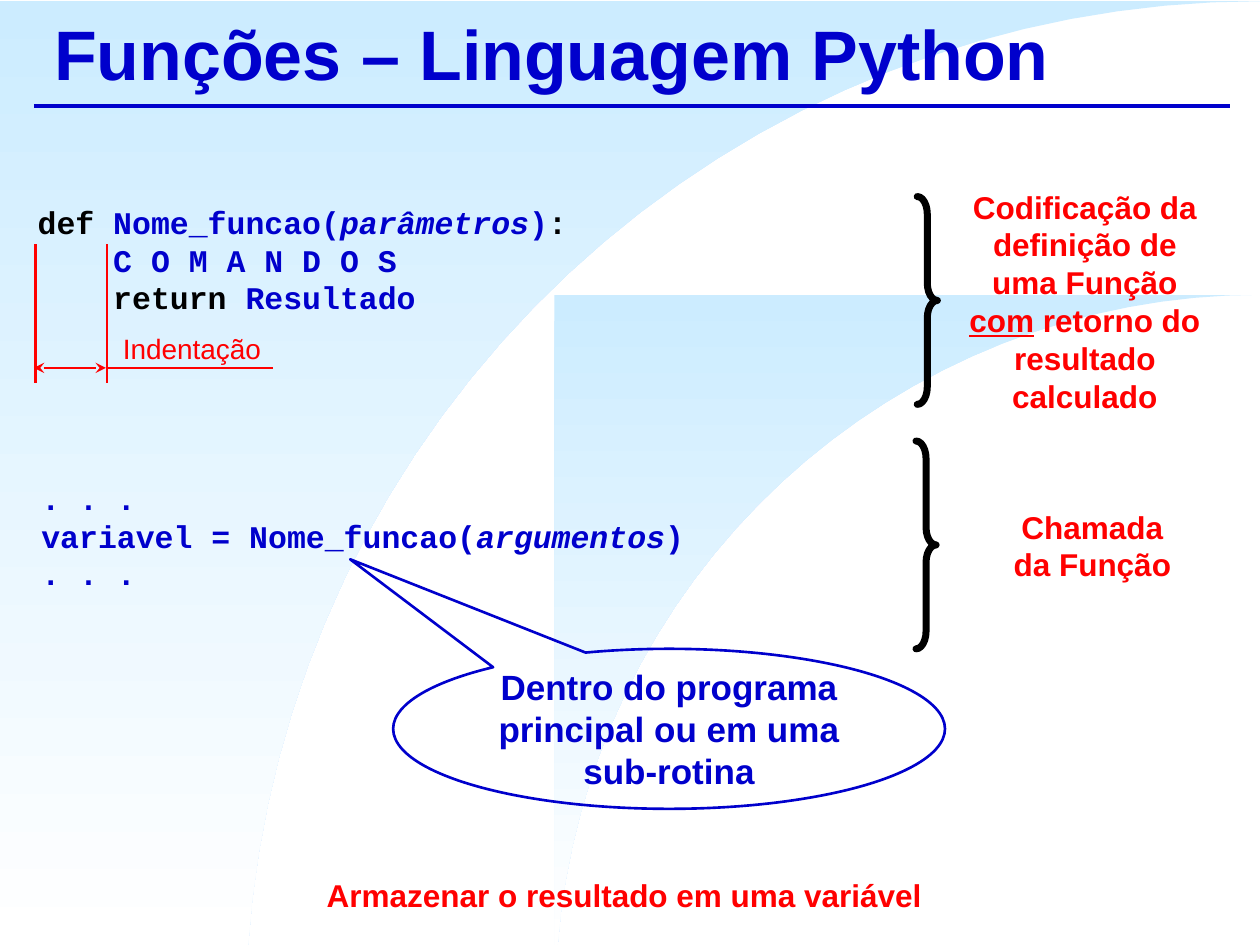
"""Build the slide on Python functions that return a result."""
import math

import pptx
import pptx.dml.color
import pptx.enum.shapes
import pptx.enum.text
import pptx.oxml
import pptx.oxml.ns
import pptx.util

Inches, Pt = pptx.util.Inches, pptx.util.Pt
RGBColor = pptx.dml.color.RGBColor
MSO_SHAPE = pptx.enum.shapes.MSO_SHAPE
ALIGN = pptx.enum.text.PP_ALIGN
MIDDLE = pptx.enum.text.MSO_ANCHOR.MIDDLE

BLUE = RGBColor(0x00, 0x00, 0xCC)
RED = RGBColor(0xFF, 0x00, 0x00)
BLACK = RGBColor(0x00, 0x00, 0x00)
SKY = RGBColor(0xCC, 0xEC, 0xFF)
WHITE = RGBColor(0xFF, 0xFF, 0xFF)
SANS, MONO = "Arial", "Courier New"
WIDTH, HEIGHT = 10, 7.5
CODE_INDENT = 0.6

TITLE = "Funções – Linguagem Python"
CALLOUT = "Dentro do programa principal ou em uma sub-rotina"

CODE = [
    ((0.2, 1.56, 9.61, 1.62), [
        (0, [("def ", BLACK, ""), ("Nome_funcao(", BLUE, ""),
             ("parâmetros", BLUE, "i"), (")", BLUE, ""), (":", BLACK, "")]),
        (1, [("C O M A N D O S", BLUE, "")]),
        (1, [("return", BLACK, ""), (" Resultado", BLUE, "")]),
    ]),
    ((0.23, 3.75, 9.53, 1.01), [
        (0, [(". . .", BLUE, "")]),
        (0, [("variavel = Nome_funcao(", BLUE, ""),
             ("argumentos", BLUE, "i"), (")", BLUE, "")]),
        (0, [(". . .", BLUE, "")]),
    ]),
]

LABELS = [
    ((7.5, 1.44, 2.22, 1.92), 18, True, ALIGN.CENTER,
     [("Codificação da definição de uma Função ", RED, ""), ("com", RED, "u"),
      (" retorno do resultado calculado", RED, "")]),
    ((7.89, 3.98, 1.56, 0.71), 18, True, ALIGN.CENTER,
     [("Chamada da Função", RED, "")]),
    ((0.19, 6.9, 9.53, 0.4), 18, True, ALIGN.CENTER,
     [("Armazenar o resultado em uma variável", RED, "")]),
    ((0.84, 2.58, 1.33, 0.37), 16, False, ALIGN.RIGHT,
     [("Indentação", RED, "")]),
]

BACKDROPS = [(0, 0.01, 8.05), (4.4, 2.34, 5.59)]
BRACES = [(7.28, 1.56), (7.27, 3.5)]
LINES = [
    ((0.27, 0.84, 9.76, 0.84), BLUE, 2.25, False),
    ((0.28, 1.94, 0.28, 3.04), RED, 1.5, False),
    ((0.85, 1.94, 0.85, 3.04), RED, 1.5, False),
    ((0.27, 2.92, 0.84, 2.92), RED, 1.5, True),
    ((0.85, 2.92, 2.17, 2.92), RED, 1.5, False),
]

prs = pptx.Presentation()
prs.slide_width, prs.slide_height = Inches(WIDTH), Inches(HEIGHT)
s = prs.slides.add_slide(prs.slide_layouts[5])
shapes = s.shapes


def box(values):
    return [Inches(v) for v in values]


def style(r, size, color, font=SANS, bold=True, mark=""):
    f = r.font
    f.name, f.size, f.bold = font, Pt(size), bold
    f.color.rgb = color
    if mark == "i":
        f.italic = True
    if mark == "u":
        f.underline = True


def write(p, runs, size, font, bold, align):
    p.alignment = align
    p.line_spacing = Pt(size * 1.2)
    for text, color, mark in runs:
        r = p.add_run()
        r.text = text
        style(r, size, color, font, bold, mark)


def text_frame(at):
    tf = shapes.add_textbox(*box(at)).text_frame
    tf.word_wrap = True
    return tf


def outline(sp, color, width):
    sp.shadow.inherit = False
    sp.fill.background()
    sp.line.color.rgb = color
    sp.line.width = Pt(width)


def backdrop(left, top, radius, steps=32):
    center = top + radius
    start = math.asin((center - HEIGHT) / radius)
    angles = [start + (math.pi / 2 - start) * i / steps for i in range(steps + 1)]
    arc = [(WIDTH - radius * math.cos(a), center - radius * math.sin(a)) for a in angles]
    points = [box(pt) for pt in arc + [(WIDTH, top), (left, top), (left, HEIGHT)]]
    builder = shapes.build_freeform(*points[0])
    builder.add_line_segments(points[1:], close=True)
    sp = builder.convert_to_shape()
    sp.shadow.inherit = False
    sp.line.fill.background()
    sp.fill.gradient()
    sp.fill.gradient_angle = 270
    for stop, color, position in zip(sp.fill.gradient_stops, (SKY, WHITE), (0, 1)):
        stop.color.rgb = color
        stop.position = position


def line(ends, color, width, arrows):
    c = shapes.add_connector(pptx.enum.shapes.MSO_CONNECTOR.STRAIGHT, *box(ends))
    c.line.color.rgb = color
    c.line.width = Pt(width)
    ns = pptx.oxml.ns.nsdecls("a")
    if arrows:
        for tag in ("headEnd", "tailEnd"):
            c.line._get_or_add_ln().append(
                pptx.oxml.parse_xml(f'<a:{tag} {ns} type="stealth"/>'))
    c._element.spPr.append(pptx.oxml.parse_xml(f"<a:effectLst {ns}/>"))


for shape in BACKDROPS:
    backdrop(*shape)

for at, rows in CODE:
    tf = text_frame(at)
    for i, (level, runs) in enumerate(rows):
        p = tf.paragraphs[0] if i == 0 else tf.add_paragraph()
        write(p, runs, 18, MONO, True, ALIGN.LEFT)
        p._p.get_or_add_pPr().set("marL", str(Inches(CODE_INDENT * level)))

for left, top in BRACES:
    sp = shapes.add_shape(MSO_SHAPE.RIGHT_BRACE, *box((left, top, 0.16, 1.65)))
    sp.adjustments[0], sp.adjustments[1] = 0.872, 0.5
    outline(sp, BLACK, 4)
    sp.line._get_or_add_ln().set("cap", "rnd")

sp = shapes.add_shape(MSO_SHAPE.OVAL_CALLOUT, *box((3.12, 5.15, 4.38, 1.27)))
sp.adjustments[0], sp.adjustments[1] = -0.578, -1.06
outline(sp, BLUE, 1.5)
tf = sp.text_frame
tf.word_wrap, tf.vertical_anchor = True, MIDDLE
tf.margin_left = tf.margin_right = Inches(0.08)
tf.margin_top = tf.margin_bottom = Inches(0.04)
write(tf.paragraphs[0], [(CALLOUT, BLUE, "")], 20, SANS, True, ALIGN.CENTER)

title = shapes.title
title.left, title.top, title.width, title.height = box((0.33, 0, 9.42, 0.83))
tf = title.text_frame
tf.text = TITLE
tf.vertical_anchor = MIDDLE
tf.paragraphs[0].alignment = ALIGN.LEFT
style(tf.paragraphs[0].runs[0], 40, BLUE)
shapes._spTree.append(title._element)

for at, size, bold, align, runs in LABELS:
    write(text_frame(at).paragraphs[0], runs, size, SANS, bold, align)

for segment in LINES:
    line(*segment)

prs.save("out.pptx")
